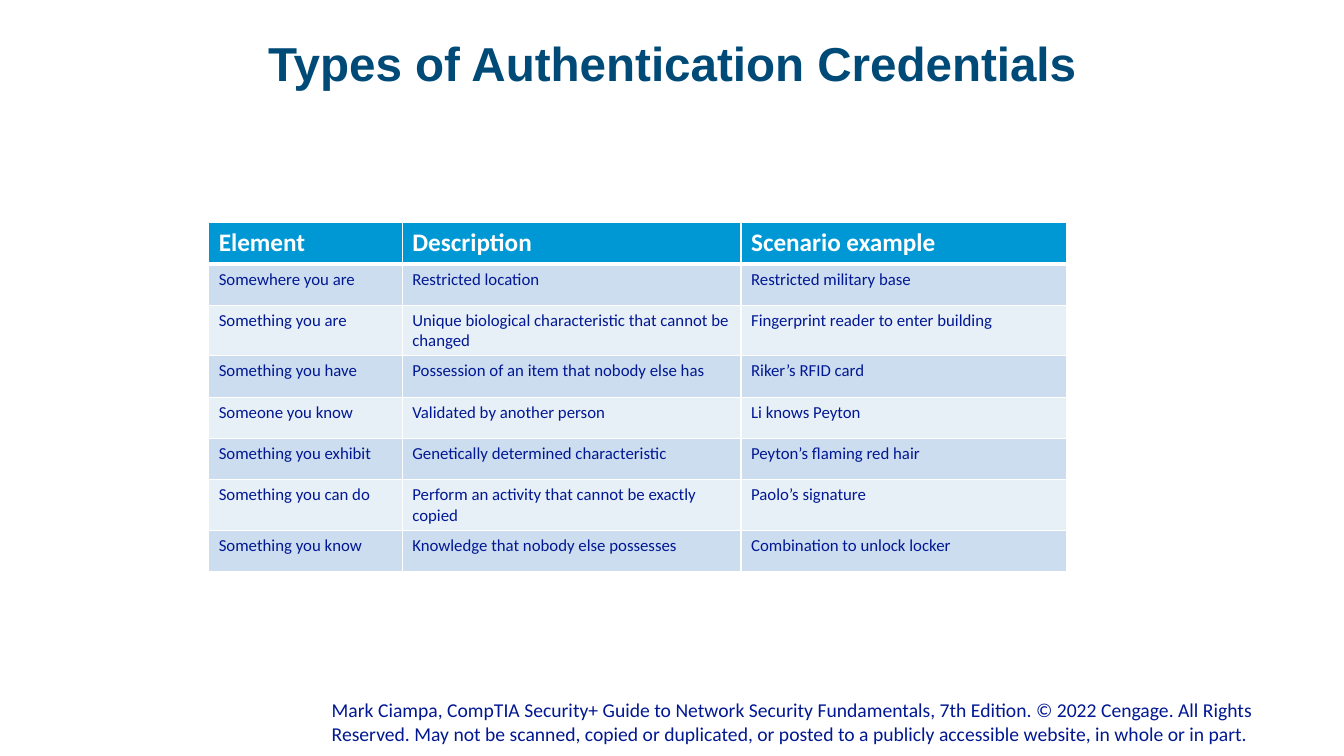
"""Build the slide on types of authentication credentials."""
import pptx
import pptx.dml.color
import pptx.enum.text
import pptx.oxml
import pptx.oxml.ns
import pptx.util
from pptx.util import Inches

COLORS = {
    "title": "004A78",
    "text": "011892",
    "header": "0098D4",
    "odd": "CCDDEF",
    "even": "E7EFF7",
    "white": "FFFFFF",
}
ROWS = [
    ("Element", "Description", "Scenario example"),
    ("Somewhere you are", "Restricted location", "Restricted military base"),
    ("Something you are", "Unique biological characteristic that cannot be\nchanged",
     "Fingerprint reader to enter building"),
    ("Something you have", "Possession of an item that nobody else has", "Riker’s RFID card"),
    ("Someone you know", "Validated by another person", "Li knows Peyton"),
    ("Something you exhibit", "Genetically determined characteristic",
     "Peyton’s flaming red hair"),
    ("Something you can do", "Perform an activity that cannot be exactly copied",
     "Paolo’s signature"),
    ("Something you know", "Knowledge that nobody else possesses",
     "Combination to unlock locker"),
]
COLUMN_WIDTHS = [1.92, 3.36, 3.23]
ROW_HEIGHT = 0.41


def add_run(paragraph, text, size, color, font="Calibri", bold=False):
    run = paragraph.add_run()
    run.text = text
    run.font.name = font
    run.font.size = pptx.util.Pt(size)
    run.font.bold = bold
    run.font.color.rgb = pptx.dml.color.RGBColor.from_string(COLORS[color])


def add_border(cell, side, width):
    cell._tc.get_or_add_tcPr().append(pptx.oxml.parse_xml(
        f'<a:ln{side} {pptx.oxml.ns.nsdecls("a")} w="{pptx.util.Pt(width)}">'
        f'<a:solidFill><a:srgbClr val="{COLORS["white"]}"/></a:solidFill></a:ln{side}>'))


presentation = pptx.Presentation()
presentation.slide_width = Inches(13.33)
presentation.slide_height = Inches(7.5)
slide = presentation.slides.add_slide(presentation.slide_layouts[6])

copyright_box = slide.shapes.add_textbox(Inches(3.29), Inches(6.92), Inches(9.79), Inches(0.52))
title_box = slide.shapes.add_textbox(Inches(0.92), Inches(0.4), Inches(11.5), Inches(0.74))
for box in (copyright_box, title_box):
    frame = box.text_frame
    frame.word_wrap = True
    frame.margin_left = frame.margin_right = frame.margin_top = frame.margin_bottom = 0

copyright_box.text_frame.margin_bottom = Inches(0.05)
copyright_box.text_frame.vertical_anchor = pptx.enum.text.MSO_ANCHOR.BOTTOM
add_run(copyright_box.text_frame.paragraphs[0],
        "Mark Ciampa, CompTIA Security+ Guide to Network Security Fundamentals, 7th Edition. "
        "© 2022 Cengage. All Rights Reserved. May not be scanned, copied or duplicated, or "
        "posted to a publicly accessible website, in whole or in part.", 14, "text")

title = title_box.text_frame.paragraphs[0]
title.alignment = pptx.enum.text.PP_ALIGN.CENTER
title.line_spacing = 0.9
add_run(title, "Types of Authentication Credentials", 34, "title", "Arial", True)

table = slide.shapes.add_table(
    len(ROWS), len(COLUMN_WIDTHS), Inches(2.07), Inches(2.21),
    Inches(sum(COLUMN_WIDTHS)), Inches(ROW_HEIGHT * len(ROWS))).table
for column, width in zip(table.columns, COLUMN_WIDTHS):
    column.width = Inches(width)

for row_index, texts in enumerate(ROWS):
    table.rows[row_index].height = Inches(ROW_HEIGHT)
    is_header = row_index == 0
    fill = "header" if is_header else "odd" if row_index % 2 else "even"
    for column_index, text in enumerate(texts):
        cell = table.cell(row_index, column_index)
        for side in "LRTB":
            thick = (side == "B" and is_header) or (side == "T" and row_index == 1)
            add_border(cell, side, 3 if thick else 1)
        cell.fill.solid()
        cell.fill.fore_color.rgb = pptx.dml.color.RGBColor.from_string(COLORS[fill])
        for line_index, line in enumerate(text.split("\n")):
            frame = cell.text_frame
            paragraph = frame.add_paragraph() if line_index else frame.paragraphs[0]
            add_run(paragraph, line, 18 if is_header else 12,
                    "white" if is_header else "text", bold=is_header)

presentation.save("out.pptx")
